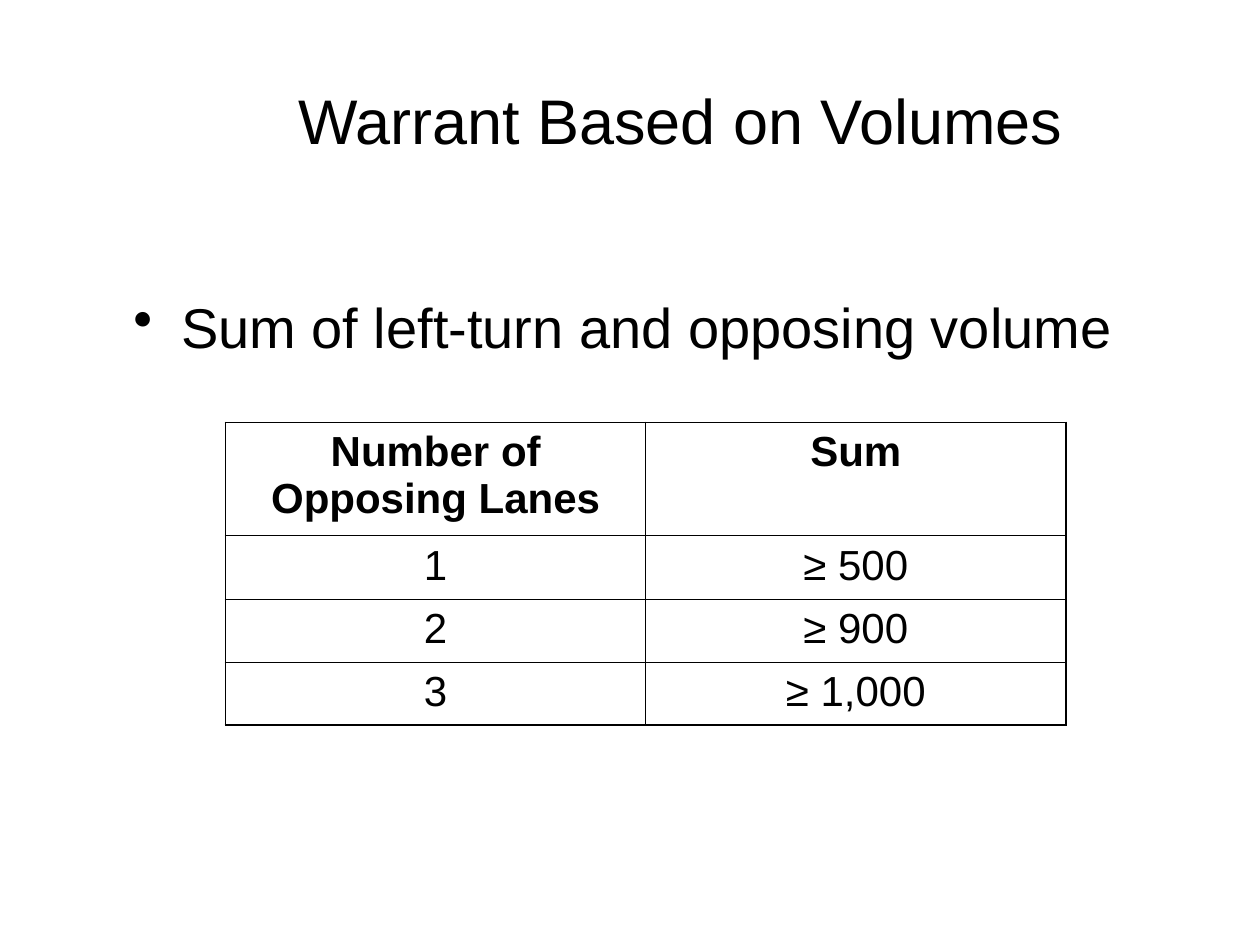
import pptx
import pptx.dml.color
import pptx.enum.text
import pptx.oxml
import pptx.oxml.ns
import pptx.util

BLACK = pptx.dml.color.RGBColor(0x00, 0x00, 0x00)
FONT = "Arial"
WIDTH, HEIGHT = 10, 7.5
OUTER_LINE, INNER_LINE = 1.08, 0.45
ROW_HEIGHTS = (0.9, 0.5, 0.5, 0.5)
VOLUME_SUMS = (
    ("Number of Opposing Lanes", "Sum"),
    ("1", "≥ 500"),
    ("2", "≥ 900"),
    ("3", "≥ 1,000"),
)
CENTER = pptx.enum.text.PP_ALIGN.CENTER


def drawing_element(tag, content="", **attributes):
    """Make one DrawingML element."""
    listed = "".join(f' {name}="{value}"' for name, value in attributes.items())
    namespace = pptx.oxml.ns.nsdecls("a")
    return pptx.oxml.parse_xml(f"<a:{tag} {namespace}{listed}>{content}</a:{tag}>")


class SlideBuilder:
    """Holds the style and the page; lengths are shares of the slide's size."""

    def __init__(self, deck):
        self.deck = deck
        self.page = deck.slides.add_slide(deck.slide_layouts[5])

    def frame(self, left, top, width, height):
        across, down = self.deck.slide_width, self.deck.slide_height
        return (int(left * across), int(top * down),
                int(width * across), int(height * down))

    def style(self, para, size, bold=False):
        para.font.name = FONT
        para.font.size = pptx.util.Pt(size)
        para.font.bold = bold
        para.font.color.rgb = BLACK

    def title(self, text, *shares):
        box = self.page.shapes.title
        box.left, box.top, box.width, box.height = self.frame(*shares)
        box.text_frame.text = text
        box.text_frame.vertical_anchor = pptx.enum.text.MSO_ANCHOR.BOTTOM
        para = box.text_frame.paragraphs[0]
        para.alignment = CENTER
        self.style(para, 36)

    def bullet(self, text, *shares):
        box = self.page.shapes.add_textbox(*self.frame(*shares))
        box.text_frame.word_wrap = True
        box.text_frame.text = text
        para = box.text_frame.paragraphs[0]
        properties = para._p.get_or_add_pPr()
        indent = pptx.util.Inches(0.38)
        properties.set("marL", str(indent))
        properties.set("indent", str(-indent))
        properties.append(drawing_element("buChar", char="•"))
        self.style(para, 32)

    def borders(self, cell, widths):
        properties = cell._tc.get_or_add_tcPr()
        for place, (side, width) in enumerate(widths.items()):
            line = drawing_element(
                f"ln{side}",
                f'<a:solidFill><a:srgbClr val="{BLACK}"/></a:solidFill>',
                w=int(pptx.util.Pt(width)))
            properties.insert(place, line)

    def table(self, rows, row_heights, *shares):
        last_row, last_column = len(rows) - 1, len(rows[0]) - 1
        table = self.page.shapes.add_table(
            len(rows), len(rows[0]), *self.frame(*shares)).table
        table.first_row = table.horz_banding = False
        for row_index, (texts, height) in enumerate(zip(rows, row_heights)):
            table.rows[row_index].height = pptx.util.Inches(height)
            for column_index, text in enumerate(texts):
                cell = table.cell(row_index, column_index)
                cell.text = text
                cell.fill.background()
                para = cell.text_frame.paragraphs[0]
                para.alignment = CENTER
                self.style(para, 24, bold=row_index == 0)
                # Only the outline of the table is heavier
                on_outline = {
                    "L": column_index == 0,
                    "R": column_index == last_column,
                    "T": row_index == 0,
                    "B": row_index == last_row,
                }
                self.borders(cell, {
                    side: OUTER_LINE if outer else INNER_LINE
                    for side, outer in on_outline.items()})


def main():
    deck = pptx.Presentation()
    deck.slide_width = pptx.util.Inches(WIDTH)
    deck.slide_height = pptx.util.Inches(HEIGHT)
    builder = SlideBuilder(deck)

    # Heading and statement
    builder.title("Warrant Based on Volumes", 0.194, 0.072, 0.692, 0.101)
    builder.bullet("Sum of left-turn and opposing volume",
                   0.096, 0.303, 0.871, 0.136)

    # Volume thresholds
    builder.table(VOLUME_SUMS, ROW_HEIGHTS,
                  0.179, 0.447, 0.667, sum(ROW_HEIGHTS) / HEIGHT)

    deck.save("out.pptx")


if __name__ == "__main__":
    main()
